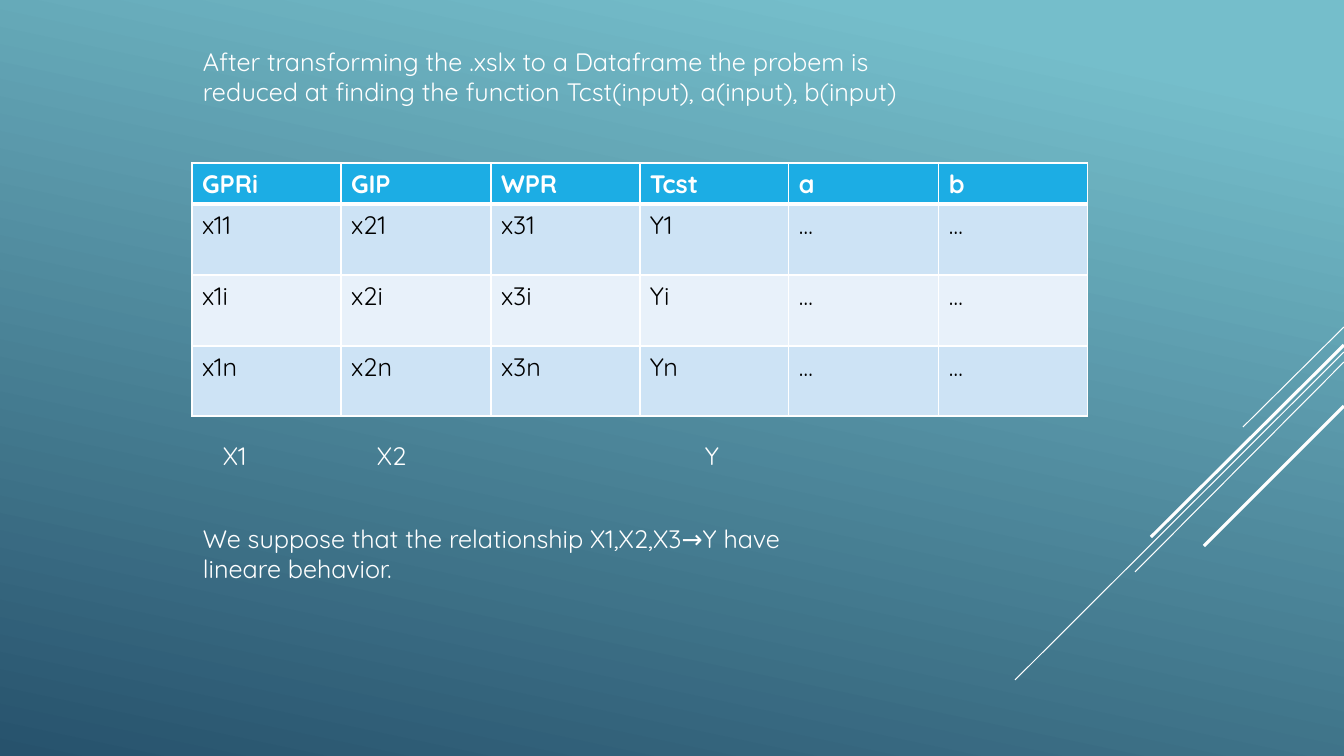
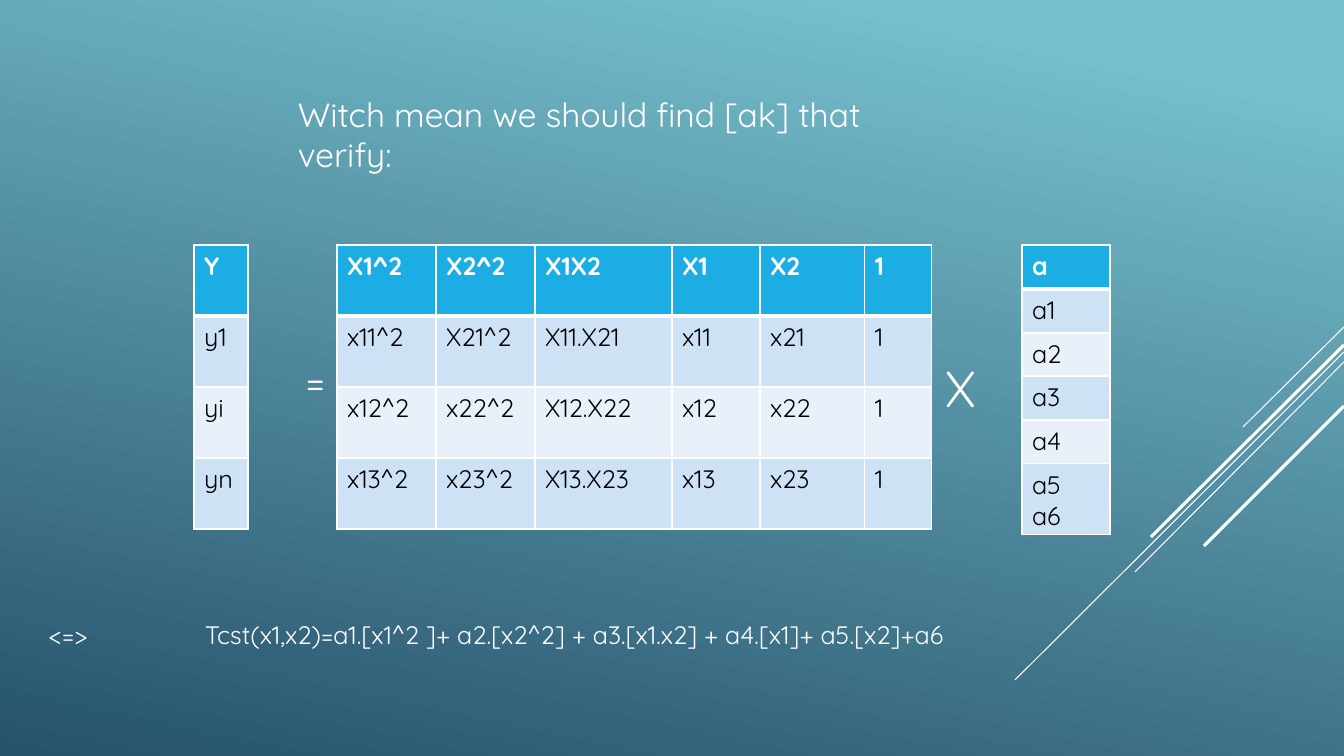
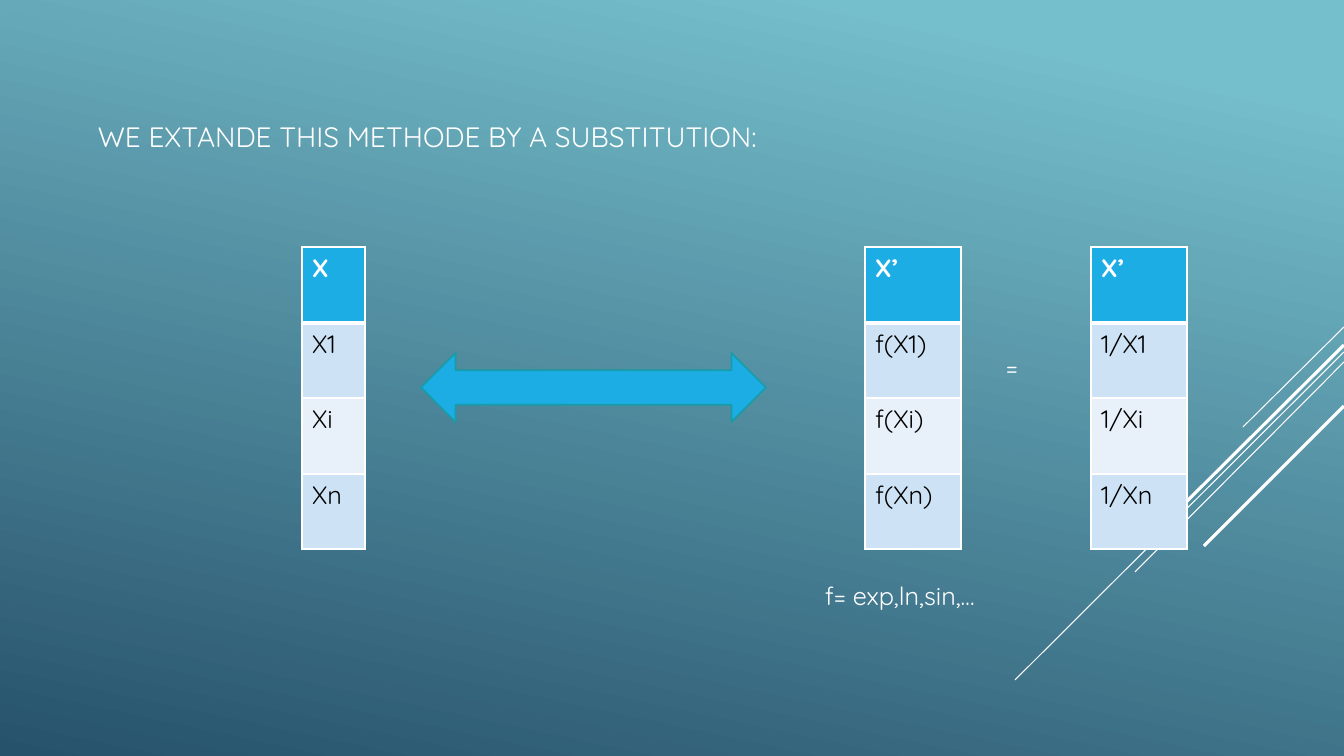
"""Build three slides on fitting a regression with tables of inputs and coefficients."""
from dataclasses import dataclass

from lxml.etree import SubElement
from pptx import Presentation
from pptx.dml.color import RGBColor
from pptx.enum.shapes import MSO_CONNECTOR, MSO_SHAPE
from pptx.enum.text import MSO_ANCHOR
from pptx.oxml.ns import qn
from pptx.slide import Slide, SlideMaster
from pptx.table import _Cell
from pptx.text.text import Font, TextFrame
from pptx.util import Emu, Pt

EMU_PER_PIXEL = 914400 / 100.8
WIDTH, HEIGHT = 1344, 756
WHITE, BLACK = "FFFFFF", "000000"
ACCENT, ARROW_EDGE = "1CADE4", "159DA9"
BANDS = ("CDE3F5", "E8F1FA")
SKY, DEEP = "75BECB", "27526C"
THIN, THICK = 0.75, 2.25
GRID, HEADER_RULE = 1, 3
BODY_SIZE = 18
FORMATS = {
    "plain": {"name": "Quicksand", "bold": False},
    "header": {"name": "Quicksand", "bold": True},
}


@dataclass(frozen=True)
class Ray:
    """Diagonal from the right edge down to the left."""

    start_y: int
    end_x: int
    end_y: int
    weight: float


@dataclass(frozen=True)
class Label:
    """Text with its box in pixels."""

    text: str
    left: int
    top: int
    width: int
    height: int = 40
    size: int = BODY_SIZE
    anchor: MSO_ANCHOR = MSO_ANCHOR.TOP


@dataclass(frozen=True)
class Matrix:
    """Table with a header row and banded body rows."""

    left: int
    top: int
    columns: tuple[int, ...]
    heights: tuple[int, ...]
    rows: tuple[tuple[str, ...], ...]


RAYS = (
    Ray(327, 1243, 427, THIN),
    Ray(352, 1015, 680, THIN),
    Ray(362, 1135, 572, THIN),
    Ray(345, 1151, 537, THICK),
    Ray(406, 1204, 546, THICK),
)


def px(pixels: int) -> Emu:
    """Turn pixels into EMU."""
    return Emu(round(pixels * EMU_PER_PIXEL))


def color(code: str) -> RGBColor:
    """Turn a hex string into a colour."""
    return RGBColor.from_string(code)


def apply_format(font: Font, kind: str, size: int, ink: str) -> None:
    """Set the font attributes of one kind of text."""
    for attribute, value in {**FORMATS[kind], "size": Pt(size)}.items():
        setattr(font, attribute, value)
    font.color.rgb = color(ink)


def write(frame: TextFrame, text: str, kind: str, size: int, ink: str) -> None:
    """Fill a text frame, one paragraph per line."""
    frame.text = text
    for paragraph in frame.paragraphs:
        for run in paragraph.runs:
            apply_format(run.font, kind, size, ink)


def paint_background(master: SlideMaster) -> None:
    """Give all slides the shared gradient."""
    fill = master.background.fill
    fill.gradient()
    fill.gradient_angle = 360 - 102
    for stop, position, code in zip(fill.gradient_stops, (0.1, 1), (SKY, DEEP)):
        stop.position = position
        stop.color.rgb = color(code)


def draw_ray(slide: Slide, ray: Ray) -> None:
    """Draw one decorative diagonal."""
    connector = slide.shapes.add_connector(
        MSO_CONNECTOR.STRAIGHT,
        px(WIDTH), px(ray.start_y), px(ray.end_x), px(ray.end_y),
    )
    connector.line.color.rgb = color(WHITE)
    connector.line.width = Pt(ray.weight)
    SubElement(connector._element.spPr, qn("a:effectLst"))


def draw_label(slide: Slide, label: Label) -> None:
    """Draw one white text box."""
    frame = slide.shapes.add_textbox(
        px(label.left), px(label.top), px(label.width), px(label.height)
    ).text_frame
    frame.word_wrap = True
    frame.vertical_anchor = label.anchor
    write(frame, label.text, "plain", label.size, WHITE)


def draw_borders(cell: _Cell, top: int, bottom: int) -> None:
    """Edge a cell in white with the given rule widths."""
    properties = cell._tc.get_or_add_tcPr()
    for side, weight in {"L": GRID, "R": GRID, "T": top, "B": bottom}.items():
        edge = SubElement(properties, qn(f"a:ln{side}"), w=str(Pt(weight)))
        SubElement(SubElement(edge, qn("a:solidFill")), qn("a:srgbClr"), val=WHITE)


def draw_matrix(slide: Slide, matrix: Matrix) -> None:
    """Draw one table."""
    table = slide.shapes.add_table(
        len(matrix.rows), len(matrix.columns),
        px(matrix.left), px(matrix.top),
        px(sum(matrix.columns)), px(sum(matrix.heights)),
    ).table
    for column, width in zip(table.columns, matrix.columns):
        column.width = px(width)
    for row, height in zip(table.rows, matrix.heights):
        row.height = px(height)
    for i, texts in enumerate(matrix.rows):
        kind, ink, band = (
            ("plain", BLACK, BANDS[(i - 1) % 2]) if i else ("header", WHITE, ACCENT)
        )
        for j, text in enumerate(texts):
            cell = table.cell(i, j)
            draw_borders(
                cell,
                HEADER_RULE if i == 1 else GRID,
                HEADER_RULE if i == 0 else GRID,
            )
            cell.fill.solid()
            cell.fill.fore_color.rgb = color(band)
            write(cell.text_frame, text, kind, BODY_SIZE, ink)


def draw_substitution_arrow(slide: Slide) -> None:
    """Draw the two-way arrow between X and its substitute."""
    arrow = slide.shapes.add_shape(
        MSO_SHAPE.LEFT_RIGHT_ARROW, px(421), px(353), px(345), px(69)
    )
    arrow.shadow.inherit = False
    arrow.fill.solid()
    arrow.fill.fore_color.rgb = color(ACCENT)
    arrow.line.color.rgb = color(ARROW_EDGE)
    arrow.line.width = Pt(1.25)


def single_column(*texts: str) -> tuple[tuple[str, ...], ...]:
    """Arrange texts as the rows of a one-column table."""
    return tuple((text,) for text in texts)


EQUAL_ROWS = (71,) * 4
TALL_ROWS = (76, 75, 76, 75)

SLIDES: tuple[tuple[Label | Matrix, ...], ...] = (
    (
        Label(
            "After transforming the .xslx to a Dataframe the probem is reduced "
            "at finding the function Tcst(input), a(input), b(input)",
            193, 41, 779, 72,
        ),
        Matrix(
            192, 163, (149, 150, 149, 149, 150, 149), (41, 71, 71, 70),
            (
                ("GPRi", "GIP", "WPR", "Tcst", "a", "b"),
                *((f"x1{k}", f"x2{k}", f"x3{k}", f"Y{k}", "…", "…") for k in "1in"),
            ),
        ),
        Label("X1", 213, 435, 70),
        Label("X2", 367, 435, 70),
        Label("Y", 695, 435, 70),
        Label(
            "We suppose that the relationship X1,X2,X3→Y have lineare behavior.",
            193, 518, 631, 72,
        ),
    ),
    (
        Label("Witch mean we should find [ak] that verify:", 288, 89, 660, 92, 24),
        Matrix(194, 245, (54,), EQUAL_ROWS, single_column("Y", "y1", "yi", "yn")),
        Label("=", 296, 351, 105, 57, 28),
        Matrix(
            337, 245, (99, 99, 137, 88, 105, 67), EQUAL_ROWS,
            (
                ("X1^2", "X2^2", "X1X2", "X1", "X2", "1"),
                ("x11^2", "X21^2", "X11.X21", "x11", "x21", "1"),
                ("x12^2", "x22^2", "X12.X22", "x12", "x22", "1"),
                ("x13^2", "x23^2", "X13.X23", "x13", "x23", "1"),
            ),
        ),
        Label("X", 936, 352, 68, 72, 36),
        Matrix(
            1022, 245, (88,), (44, 44, 43, 44, 44, 70),
            single_column("a", "a1", "a2", "a3", "a4", "a5\na6"),
        ),
        Label("<=>", 39, 614, 100),
        Label(
            "Tcst(x1,x2)=a1.[x1^2 ]+ a2.[x2^2] + a3.[x1.x2] + a4.[x1]+ a5.[x2]+a6",
            195, 614, 971,
        ),
    ),
    (
        Label(
            "WE EXTANDE THIS METHODE BY A SUBSTITUTION:",
            88, 65, 926, 142, 20, MSO_ANCHOR.MIDDLE,
        ),
        Matrix(302, 247, (63,), TALL_ROWS, single_column("X", "X1", "Xi", "Xn")),
        Matrix(
            865, 247, (96,), TALL_ROWS,
            single_column("X’", "f(X1)", "f(Xi)", "f(Xn)"),
        ),
        Label("=", 996, 346, 96),
        Matrix(
            1091, 247, (96,), TALL_ROWS,
            single_column("X’", "1/X1", "1/Xi", "1/Xn"),
        ),
        Label("f= exp,ln,sin,…", 815, 575, 232),
    ),
)


def main() -> None:
    """Build and save the presentation."""
    presentation = Presentation()
    presentation.slide_width = px(WIDTH)
    presentation.slide_height = px(HEIGHT)
    paint_background(presentation.slide_master)
    for items in SLIDES:
        slide = presentation.slides.add_slide(presentation.slide_layouts[6])
        for ray in RAYS:
            draw_ray(slide, ray)
        for item in items:
            if isinstance(item, Matrix):
                draw_matrix(slide, item)
            else:
                draw_label(slide, item)
    draw_substitution_arrow(slide)
    presentation.save("out.pptx")


main()
